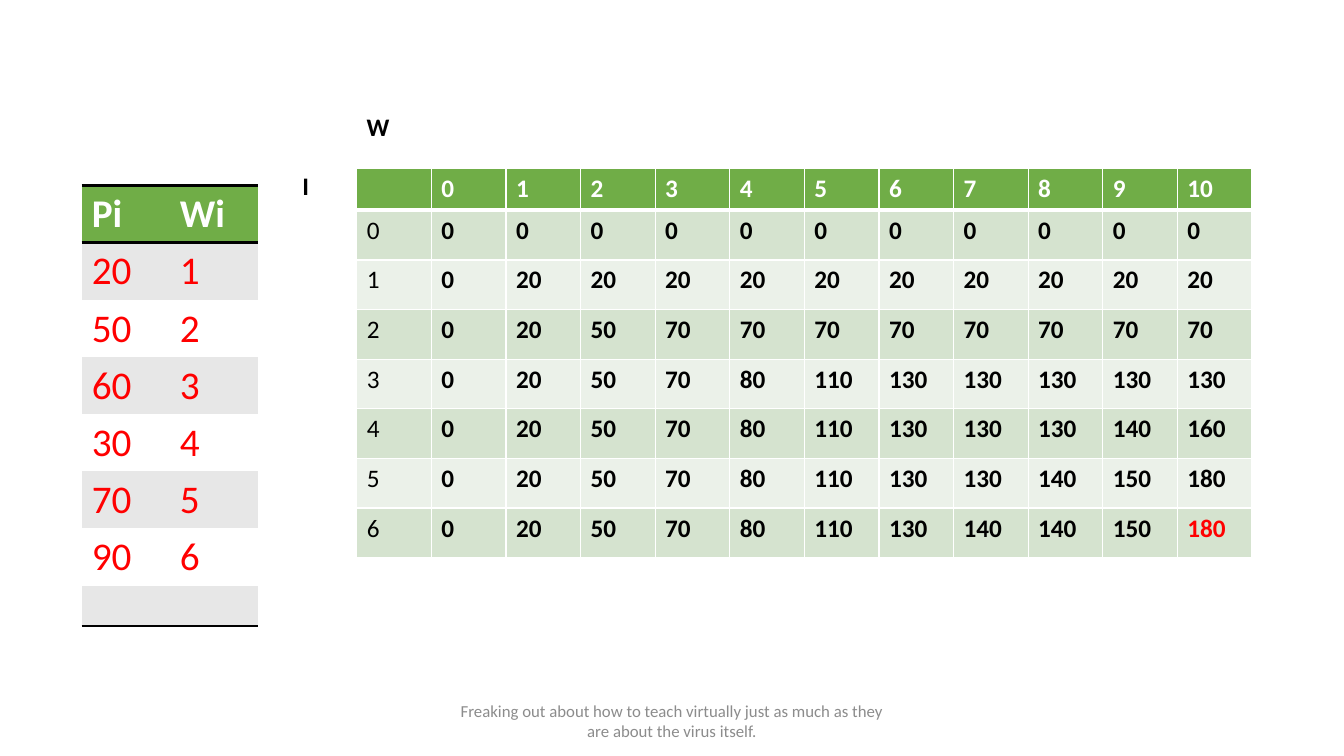
import pptx
import pptx.dml.color
import pptx.enum.text
import pptx.oxml.ns
import pptx.util
from lxml import etree

Cm = pptx.util.Cm
Pt = pptx.util.Pt

GREEN, WHITE, BLACK, RED = "70AD47", "FFFFFF", "000000", "FF0000"

ITEMS = [("Pi", "Wi"), (20, 1), (50, 2), (60, 3), (30, 4), (70, 5), (90, 6), ("", "")]

PROFITS = [
    [0] * 11,
    [0] + [20] * 10,
    [0, 20, 50] + [70] * 8,
    [0, 20, 50, 70, 80, 110] + [130] * 5,
    [0, 20, 50, 70, 80, 110, 130, 130, 130, 140, 160],
    [0, 20, 50, 70, 80, 110, 130, 130, 140, 150, 180],
    [0, 20, 50, 70, 80, 110, 130, 140, 140, 150, 180],
]


def rgb(value):
    return pptx.dml.color.RGBColor.from_string(value)


def style_text(p, size, color, bold=False):
    p.font.name = "Calibri"
    p.font.size = Pt(size)
    p.font.bold = bold
    p.font.color.rgb = rgb(color)


def set_border(cell, side, color=None, width=0):
    tcPr = cell._tc.get_or_add_tcPr()
    ln = etree.SubElement(tcPr, pptx.oxml.ns.qn(f"a:ln{side}"), w=str(Pt(width)))
    if color is None:
        etree.SubElement(ln, pptx.oxml.ns.qn("a:noFill"))
    else:
        fill = etree.SubElement(ln, pptx.oxml.ns.qn("a:solidFill"))
        etree.SubElement(fill, pptx.oxml.ns.qn("a:srgbClr"), val=color)


def fill_cell(cell, value, fill, size, color, bold, borders):
    for side in "LRTB":
        set_border(cell, side, *borders.get(side, ()))
    cell.fill.solid()
    cell.fill.fore_color.rgb = rgb(fill)
    if value != "":
        cell.text = str(value)
        style_text(cell.text_frame.paragraphs[0], size, color, bold)


def add_grid(slide, left, top, width, row_heights, column_count):
    frame = slide.shapes.add_table(
        len(row_heights), column_count, Cm(left), Cm(top), Cm(width), Cm(sum(row_heights))
    )
    table = frame.table
    for column in table.columns:
        column.width = Cm(width / column_count)
    for row, height in zip(table.rows, row_heights):
        row.height = Cm(height)
    return table


def add_profit_table(slide, left, top, width):
    rows = [[""] + list(range(11))]
    rows += [[i] + profits for i, profits in enumerate(PROFITS)]
    table = add_grid(slide, left, top, width, [1.06] + [1.25] * len(PROFITS), len(rows[0]))
    last = (len(rows) - 1, len(rows[0]) - 1)
    for i, row in enumerate(rows):
        fill = GREEN if i == 0 else ("EBF1E9", "D5E3CF")[i % 2]
        borders = {side: (WHITE, 1) for side in "LRTB"}
        if i == 0:
            borders["B"] = (WHITE, 3)
        elif i == 1:
            borders["T"] = (WHITE, 3)
        for j, value in enumerate(row):
            color = WHITE if i == 0 else RED if (i, j) == last else BLACK
            fill_cell(table.cell(i, j), value, fill, 18, color, i == 0 or j > 0, borders)


def add_item_table(slide, left, top, width):
    heights = [1.44] * (len(ITEMS) - 1) + [1.02]
    table = add_grid(slide, left, top, width, heights, 2)
    rule = (BLACK, 2)
    row_borders = {0: {"T": rule, "B": rule}, 1: {"T": rule}, len(ITEMS) - 1: {"B": rule}}
    for i, row in enumerate(ITEMS):
        fill = GREEN if i == 0 else (WHITE, "E7E7E7")[i % 2]
        color = WHITE if i == 0 else RED
        for j, value in enumerate(row):
            fill_cell(table.cell(i, j), value, fill, 28, color, i == 0, row_borders.get(i, {}))


def add_label(slide, text, left, top, width, height, size, color, bold=False, wrap=True):
    sp = slide.shapes.add_textbox(Cm(left), Cm(top), Cm(width), Cm(height))
    tf = sp.text_frame
    tf.word_wrap = wrap
    p = tf.paragraphs[0]
    p.text = text
    style_text(p, size, color, bold)
    return tf


def add_footer(slide, left, top, width, height):
    text = "Freaking out about how to teach virtually just as much as they are about the virus itself."
    tf = add_label(slide, text, left, top, width, height, 12, "8C8C8C")
    tf.vertical_anchor = pptx.enum.text.MSO_ANCHOR.MIDDLE
    tf.paragraphs[0].alignment = pptx.enum.text.PP_ALIGN.CENTER


def add_knapsack_slide(prs):
    slide = prs.slides.add_slide(prs.slide_layouts[6])
    add_profit_table(slide, 8.99, 4.24, 22.56)
    add_footer(slide, 11.22, 17.65, 11.43, 1.01)
    add_label(slide, "W", 8.99, 2.67, 1.09, 1.02, 18, BLACK, True, False)
    add_label(slide, "I", 7.37, 4.17, 1.12, 1.02, 18, BLACK, True)
    add_item_table(slide, 2.06, 4.67, 4.44)


def main():
    prs = pptx.Presentation()
    prs.slide_width = Cm(33.87)
    prs.slide_height = Cm(19.05)
    add_knapsack_slide(prs)
    prs.save("out.pptx")


if __name__ == "__main__":
    main()
